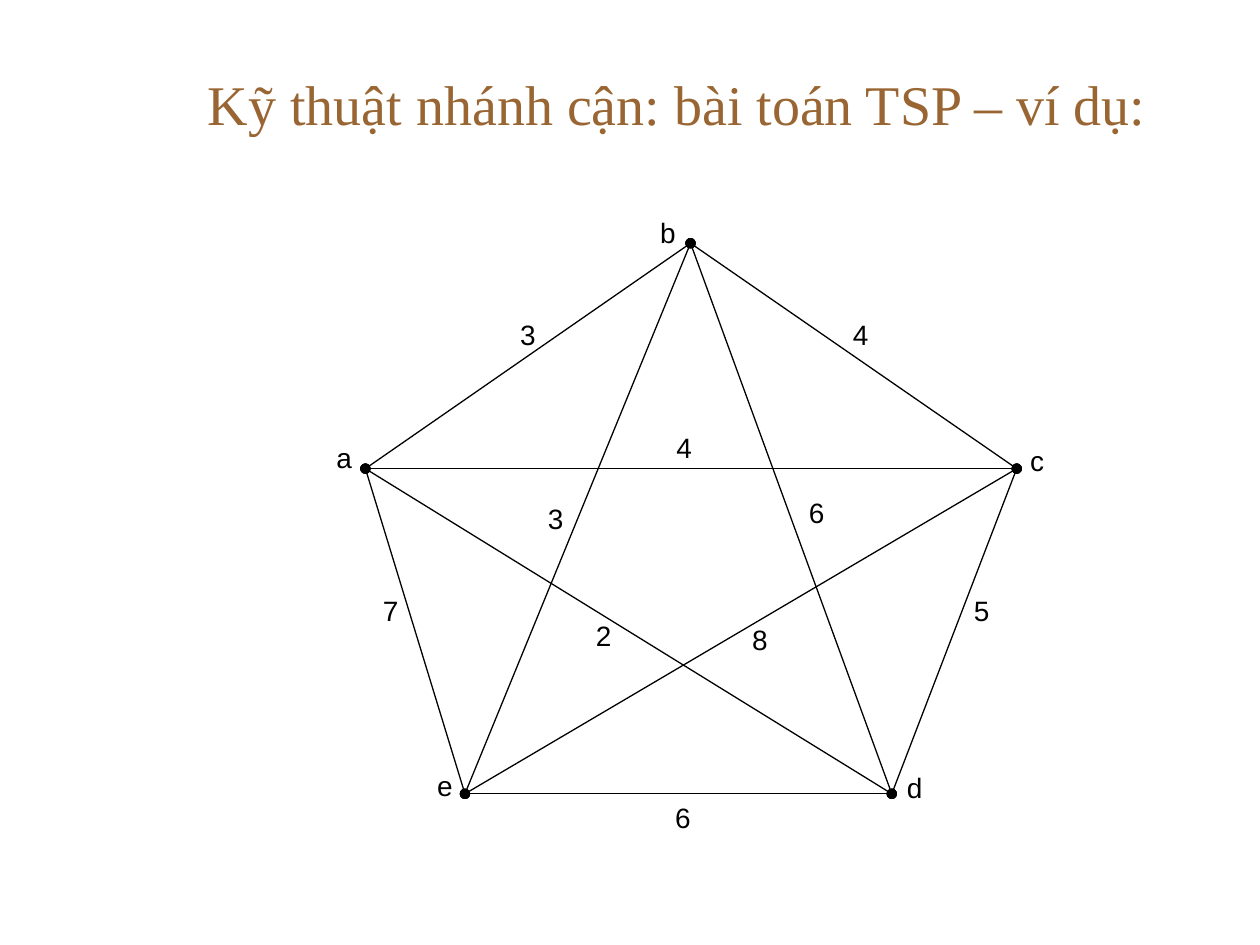
"""Build a slide with a weighted five-node graph for the TSP example."""
import pptx
import pptx.util
import pptx.dml.color
import pptx.enum.shapes
import pptx.enum.text
import pptx.oxml
import pptx.oxml.ns

Pt = pptx.util.Pt
HUES = {"title": "996633", "ink": "000000"}
TITLE = "Kỹ thuật nhánh cận: bài toán TSP – ví dụ:"
NODES = {
    "a": (208.8, 267.8),
    "b": (394.6, 139),
    "c": (581, 267.8),
    "d": (509.6, 453.6),
    "e": (265.7, 453.6),
}
NAMES = [
    ("e", 247, 439.2),
    ("d", 515.5, 440.6),
    ("c", 585.4, 253.4),
    ("a", 189.4, 252),
    ("b", 374.4, 123.1),
]
EDGES = [
    ("ab", "3", 294.5, 181.4),
    ("cb", "4", 484.6, 181.4),
    ("eb", "3", 310.3, 286.6),
    ("db", "6", 459.4, 283),
    ("ac", "4", 383.8, 246.2),
    ("ae", "7", 216, 339.1),
    ("ad", "2", 337.7, 353.5),
    ("ec", "8", 427, 355.7),
    ("ed", "6", 383, 457.2),
    ("dc", "5", 553.7, 339.1),
]


def tint(name):
    return pptx.dml.color.RGBColor.from_string(HUES[name])


def write(slide, text, box, font, size, hue):
    shape = slide.shapes.add_textbox(*map(Pt, box))
    frame = shape.text_frame
    frame.word_wrap = True
    par = frame.paragraphs[0]
    par.text = text
    par.alignment = pptx.enum.text.PP_ALIGN.CENTER
    par.font.name = font
    par.font.size = Pt(size)
    par.font.color.rgb = tint(hue)
    return frame


def label(slide, text, left, top):
    frame = write(slide, text, (left, top, 14.4, 28.8), "Arial", 16, "ink")
    frame.margin_left = frame.margin_right = 0
    frame.margin_top = frame.margin_bottom = 0
    frame.paragraphs[0].space_before = Pt(4)


def link(slide, start, end):
    kind = pptx.enum.shapes.MSO_CONNECTOR.STRAIGHT
    edge = slide.shapes.add_connector(kind, *map(Pt, start + end))
    edge.line.color.rgb = tint("ink")
    edge.line.width = Pt(0.75)
    props = edge.line._get_or_add_ln()
    for tag in ("a:headEnd", "a:tailEnd"):
        cap = pptx.oxml.parse_xml(f'<{tag} {pptx.oxml.ns.nsdecls("a")} type="oval"/>')
        props.append(cap)
    blank = pptx.oxml.parse_xml(f'<a:effectLst {pptx.oxml.ns.nsdecls("a")}/>')
    props.addnext(blank)


def main():
    deck = pptx.Presentation()
    deck.slide_width, deck.slide_height = Pt(720), Pt(540)
    slide = deck.slides.add_slide(deck.slide_layouts[6])
    head = write(slide, TITLE, (90, 21.6, 594, 74.2), "Times New Roman", 32, "title")
    head.vertical_anchor = pptx.enum.text.MSO_ANCHOR.MIDDLE
    for _, cost, left, top in EDGES:
        label(slide, cost, left, top)
    for name, left, top in NAMES:
        label(slide, name, left, top)
    for pair, *_ in EDGES:
        link(slide, NODES[pair[0]], NODES[pair[1]])
    deck.save("out.pptx")


if __name__ == "__main__":
    main()
